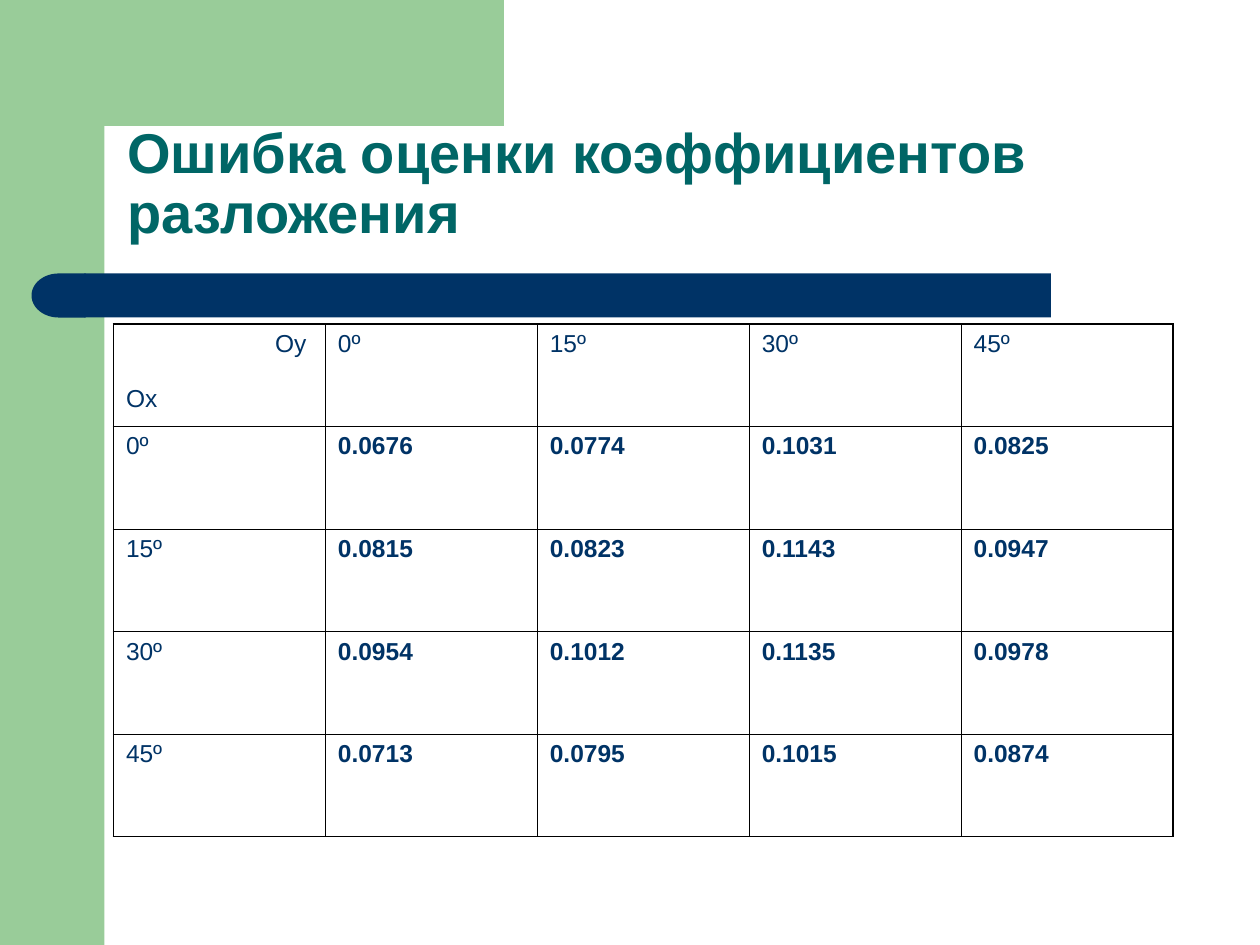
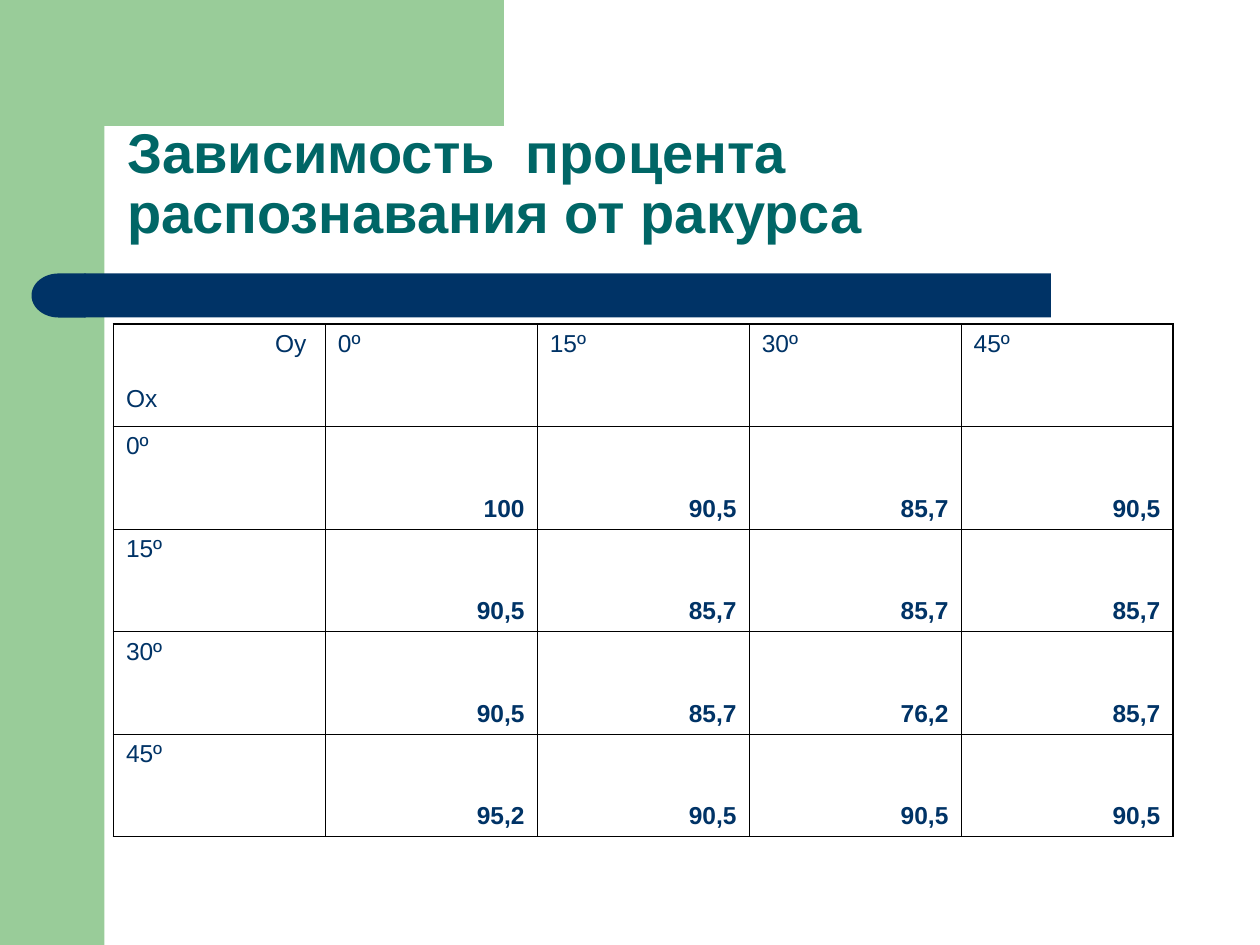
from math import cos, pi, sin

from lxml import etree
from pptx import Presentation
from pptx.dml.color import RGBColor
from pptx.enum.shapes import MSO_SHAPE
from pptx.enum.text import MSO_ANCHOR, PP_ALIGN
from pptx.oxml.ns import qn
from pptx.util import Inches, Pt

RECT, DELAY = MSO_SHAPE.RECTANGLE, MSO_SHAPE.FLOWCHART_DELAY
TOP, BOTTOM = MSO_ANCHOR.TOP, MSO_ANCHOR.BOTTOM
LEFT, RIGHT = PP_ALIGN.LEFT, PP_ALIGN.RIGHT

GREEN = RGBColor(0x99, 0xCC, 0x99)
NAVY = RGBColor(0x00, 0x33, 0x66)
TEAL = RGBColor(0x00, 0x66, 0x66)
BLACK = RGBColor(0x00, 0x00, 0x00)
FONT = "Arial"
THIN, THICK = Pt(0.45), Pt(0.96)

ANGLES = ["0º", "15º", "30º", "45º"]
SIZE = len(ANGLES) + 1

# Title, values, and how the values sit in their cells
SLIDES = [
    ("Ошибка оценки коэффициентов разложения",
     [["0.0676", "0.0774", "0.1031", "0.0825"],
      ["0.0815", "0.0823", "0.1143", "0.0947"],
      ["0.0954", "0.1012", "0.1135", "0.0978"],
      ["0.0713", "0.0795", "0.1015", "0.0874"]],
     LEFT, TOP),
    ("Зависимость  процента распознавания от ракурса",
     [["100", "90,5", "85,7", "90,5"],
      ["90,5", "85,7", "85,7", "85,7"],
      ["90,5", "85,7", "76,2", "85,7"],
      ["95,2", "90,5", "90,5", "90,5"]],
     RIGHT, BOTTOM),
]

# Green corner: a block whose inner edge is a quarter circle
MID, RAD = 1.16, 0.33
arc = [(MID - RAD * sin(i * pi / 24), MID - RAD * cos(i * pi / 24))
       for i in range(13)]
CORNER = [(3.5, 0), (3.5, 0.83), *arc, (0.83, 1.28), (0.5, 1.28), (0.5, 0)]


def paint(shape, color):
    shape.shadow.inherit = False
    shape.fill.solid()
    shape.fill.fore_color.rgb = color
    shape.line.fill.background()


def style(par, size, color, bold=False):
    font = par.font
    font.name, font.size, font.bold = FONT, Pt(size), bold
    font.color.rgb = color


prs = Presentation()
prs.slide_width, prs.slide_height = Inches(10), Inches(7.5)

for title, values, align, anchor in SLIDES:
    slide = prs.slides.add_slide(prs.slide_layouts[6])
    shapes = slide.shapes

    # Green side band and corner
    side = shapes.add_shape(RECT, 0, 0, Inches(0.83), Inches(7.5))
    paint(side, GREEN)
    draw = shapes.build_freeform(*CORNER[0], scale=Inches(1))
    draw.add_line_segments(CORNER[1:], close=True)
    paint(draw.convert_to_shape(), GREEN)

    # Navy bar with a round left end
    bar = shapes.add_shape(RECT, Inches(0.67), Inches(2.17), Inches(7.67), Inches(0.35))
    paint(bar, NAVY)
    cap = shapes.add_shape(DELAY, Inches(0.25), Inches(2.17), Inches(0.43), Inches(0.35))
    cap.rotation = 180
    paint(cap, NAVY)

    # Title
    box = shapes.add_textbox(Inches(0.91), Inches(0.91), Inches(8.51), Inches(1.09))
    frame = box.text_frame
    frame.word_wrap = True
    frame.vertical_anchor = BOTTOM
    par = frame.paragraphs[0]
    par.text = title
    par.line_spacing = 0.9
    style(par, 32, TEAL, True)

    # Table
    table = shapes.add_table(SIZE, SIZE, Inches(0.9), Inches(2.57),
                             Inches(8.41), Inches(4.07)).table
    table.first_row = table.horz_banding = False
    grid = [["Oy\nOx", *ANGLES]]
    grid += [[angle, *row] for angle, row in zip(ANGLES, values)]
    for r, row in enumerate(grid):
        for c, text in enumerate(row):
            cell = table.cell(r, c)
            cell.text = text
            inner = r > 0 and c > 0
            cell.vertical_anchor = anchor if inner else TOP
            for par in cell.text_frame.paragraphs:
                par.alignment = align if inner else LEFT
                style(par, 14, NAVY, inner)

            # Thick outer frame, thin inner lines
            props = cell._tc.get_or_add_tcPr()
            edges = {"L": c == 0, "R": c == SIZE - 1,
                     "T": r == 0, "B": r == SIZE - 1}
            for edge, outer in edges.items():
                line = etree.SubElement(props, qn(f"a:ln{edge}"),
                                        w=str(THICK if outer else THIN))
                fill = etree.SubElement(line, qn("a:solidFill"))
                etree.SubElement(fill, qn("a:srgbClr"), val=str(BLACK))
            cell.fill.background()

    # Axis names in the first cell
    head = table.cell(0, 0)
    head.margin_right = Inches(0.15)
    over, down = head.text_frame.paragraphs
    over.alignment = RIGHT
    down.space_before = Pt(16)

prs.save("out.pptx")
